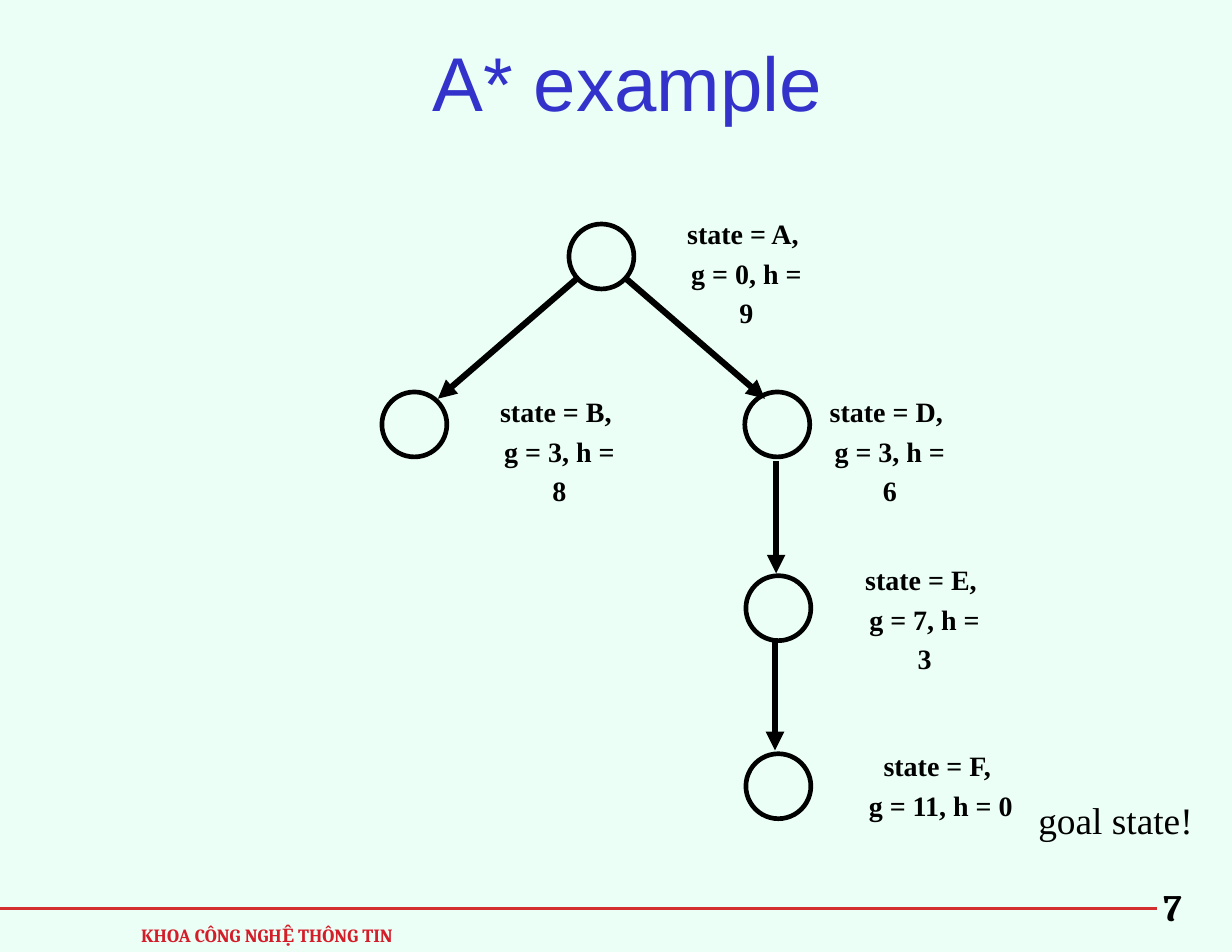
from dataclasses import dataclass

from pptx import Presentation
from pptx.dml.color import RGBColor
from pptx.enum.shapes import MSO_CONNECTOR, MSO_SHAPE
from pptx.enum.text import MSO_ANCHOR, MSO_AUTO_SIZE, PP_ALIGN
from pptx.oxml.ns import qn
from pptx.util import Inches, Pt
from lxml import etree

STRAIGHT = MSO_CONNECTOR.STRAIGHT
OVAL = MSO_SHAPE.OVAL
MIDDLE = MSO_ANCHOR.MIDDLE
CENTER = PP_ALIGN.CENTER
NO_FIT = MSO_AUTO_SIZE.NONE
FIT_SHAPE = MSO_AUTO_SIZE.SHAPE_TO_FIT_TEXT

MINT = RGBColor(0xEB, 0xFF, 0xF7)
BLACK = RGBColor(0, 0, 0)
BLUE = RGBColor(0x33, 0x33, 0xCC)
RULE_RED = RGBColor(0xD3, 0x2F, 0x2F)
TEXT_RED = RGBColor(0xD5, 0x1C, 0x29)

SERIF = "Times New Roman"
NODE_SIZE = 0.58


@dataclass
class Node:
    left: float
    top: float
    label_left: float
    label_top: float
    state: str
    cost: str
    label_width: float = 1.37


@dataclass
class Edge:
    x1: float
    y1: float
    x2: float
    y2: float


@dataclass
class Label:
    left: float
    top: float
    width: float
    height: float
    lines: tuple[str, ...]
    size: int
    font: str = SERIF
    color: RGBColor = BLACK
    bold: bool = True
    wrap: bool = False


NODES = [
    Node(5.08, 2, 5.98, 1.83, "A", "g = 0, h = 9"),
    Node(3.41, 3.5, 4.31, 3.42, "B", "g = 3, h = 8"),
    Node(6.65, 3.5, 7.26, 3.42, "D", "g = 3, h = 6"),
    Node(6.66, 5.14, 7.57, 4.92, "E", "g = 7, h = 3"),
    Node(6.66, 6.73, 7.65, 6.58, "F", "g = 11, h = 0", 1.5),
]

EDGES = [
    Edge(5.58, 2.48, 6.83, 3.56),
    Edge(5.16, 2.48, 3.91, 3.56),
    Edge(6.93, 4.12, 6.93, 5.12),
    Edge(6.92, 5.7, 6.92, 6.7),
]

LABELS = [
    Label(1.12, 8.16, 2.53, 0.34, ("KHOA CÔNG NGHỆ THÔNG TIN",), 12, "Cambria", TEXT_RED, wrap=True),
    Label(10.08, 7.77, 0.78, 0.57, ("7",), 24, "Cambria", wrap=True),
    Label(9.17, 7, 1.58, 0.57, ("goal state!",), 24, bold=False),
]


def add_run(p, text: str, size: int, font: str, color: RGBColor, bold: bool, spacing: float) -> None:
    p.alignment = CENTER
    p.line_spacing = spacing
    r = p.add_run()
    r.text = text
    r.font.size = Pt(size)
    r.font.name = font
    r.font.bold = bold
    r.font.color.rgb = color


def add_title(slide, text: str) -> None:
    sp = slide.shapes.title
    sp.left, sp.top, sp.width, sp.height = Inches(0.2), 0, Inches(10.8), Inches(1.25)
    tf = sp.text_frame
    tf.auto_size = NO_FIT
    tf.vertical_anchor = MIDDLE
    tf.margin_left = tf.margin_right = Inches(0.11)
    tf.margin_top = tf.margin_bottom = Inches(0.06)
    add_run(tf.paragraphs[0], text, 49, "Arial", BLUE, False, 1.24)


def add_label(slide, label: Label) -> None:
    sp = slide.shapes.add_textbox(
        Inches(label.left), Inches(label.top), Inches(label.width), Inches(label.height)
    )
    tf = sp.text_frame
    tf.word_wrap = label.wrap
    tf.auto_size = FIT_SHAPE
    for i, line in enumerate(label.lines):
        p = tf.add_paragraph() if i else tf.paragraphs[0]
        add_run(p, line, label.size, label.font, label.color, label.bold, 1.18)


def add_line(slide, edge: Edge, color: RGBColor, width: float, arrow: bool) -> None:
    line = slide.shapes.add_connector(
        STRAIGHT, Inches(edge.x1), Inches(edge.y1), Inches(edge.x2), Inches(edge.y2)
    )
    line.line.color.rgb = color
    line.line.width = Pt(width)
    if arrow:
        etree.SubElement(line.line._get_or_add_ln(), qn("a:tailEnd"), type="triangle")
    etree.SubElement(line._element.spPr, qn("a:effectLst"))


def add_node(slide, node: Node) -> None:
    sp = slide.shapes.add_shape(
        OVAL, Inches(node.left), Inches(node.top), Inches(NODE_SIZE), Inches(NODE_SIZE)
    )
    sp.shadow.inherit = False
    sp.fill.background()
    sp.line.color.rgb = BLACK
    sp.line.width = Pt(3)
    lines = (f"state = {node.state}, ", node.cost)
    add_label(slide, Label(node.label_left, node.label_top, node.label_width, 0.81, lines, 18))


def main() -> None:
    prs = Presentation()
    prs.slide_width, prs.slide_height = Inches(11), Inches(8.5)
    slide = prs.slides.add_slide(prs.slide_layouts[5])
    slide.background.fill.solid()
    slide.background.fill.fore_color.rgb = MINT

    add_title(slide, "A* example")
    add_line(slide, Edge(0, 8.11, 10.33, 8.11), RULE_RED, 2.25, False)
    for label in LABELS:
        add_label(slide, label)
    for node in NODES:
        add_node(slide, node)
    for edge in EDGES:
        add_line(slide, edge, BLACK, 4, True)
    prs.save("out.pptx")


if __name__ == "__main__":
    main()
